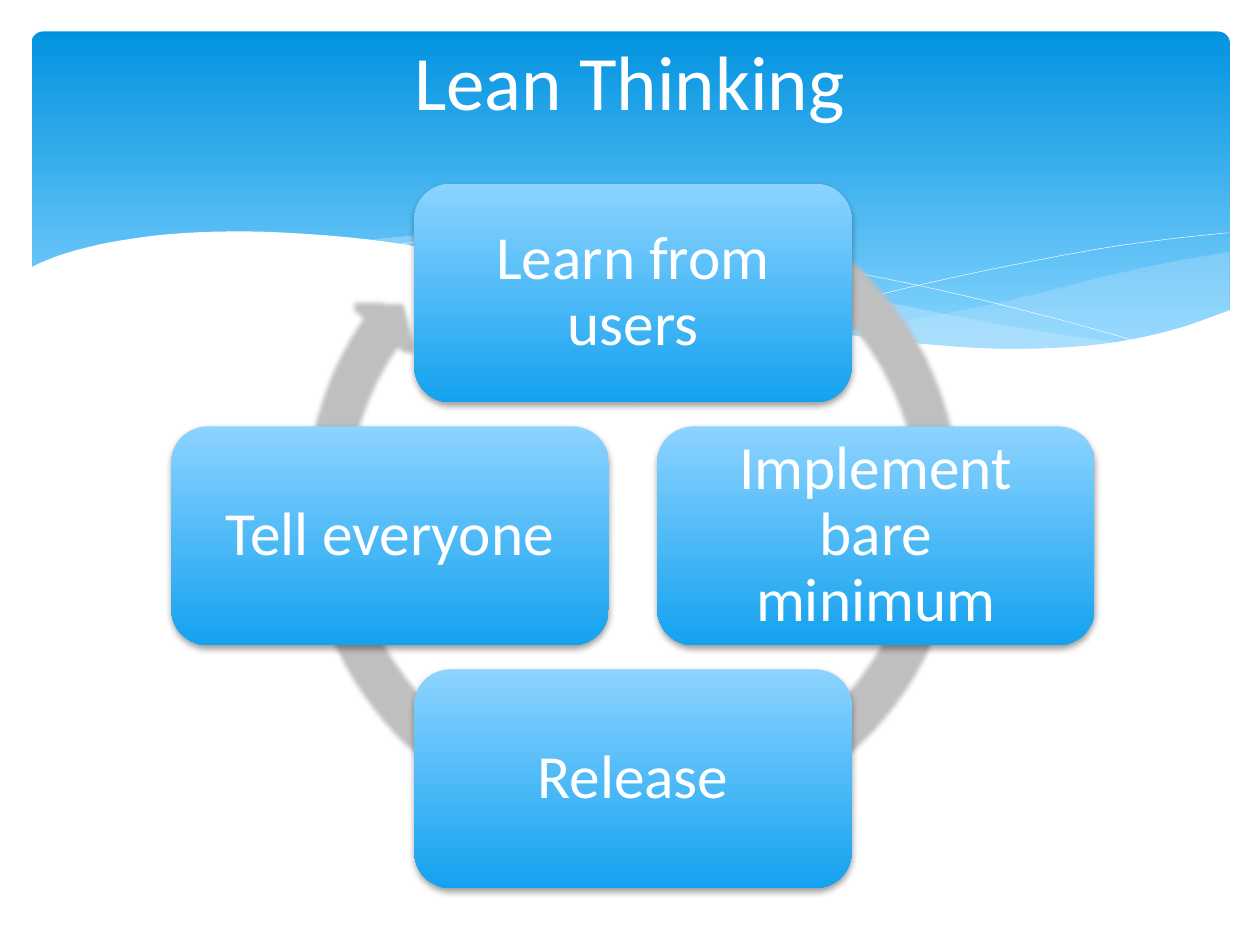
from lxml.etree import SubElement as Sub
from pptx import Presentation
from pptx.dml.color import RGBColor as Rgb
from pptx.enum.shapes import MSO_SHAPE as Kind
from pptx.enum.text import MSO_ANCHOR as Anchor, PP_ALIGN as Align
from pptx.oxml.ns import qn
from pptx.util import Pt

HUES = {
    "white": "FFFFFF", "black": "000000", "ring": "BFBFBF", "mist": "C6E7FC",
    "sky": "0293E0", "haze": "83D3FE", "light": "8CD3FF", "deep": "14A2EF",
}
FONT = "Calibri"
MID_X, MID_Y, STEP = 361.7, 306.2, 138.8
BOX_W, BOX_H = 250, 125
STEPS = [("Learn from users", 0, -1), ("Implement bare minimum", 1, 0),
         ("Release", 0, 1), ("Tell everyone", -1, 0)]

# Each outline is a list of smooth runs; straight lines join the runs.
EDGE = [
    [(702.5, 144), (673, 149), (631, 158), (580, 171), (525, 182), (476, 191)],
    [(476, 191), (518, 195.5), (562, 199.5), (601, 200), (640, 197),
     (673, 188.5), (702.5, 178)],
]
BAND = [
    [(643, 196.6), (581, 187), (508, 173), (453, 160), (410, 150),
     (361, 141), (302, 134.6), (248, 134), (206, 137.5)],
    [(206, 137.5), (261, 146), (323, 160), (407.5, 178.5), (468, 190),
     (530, 198), (581, 200), (624, 199), (643, 196.6)],
]
FALL = [[(222.5, 140.4), (261, 136), (312, 135), (367, 138), (438, 147),
         (523, 162.7), (598, 180.7), (653, 196)]]
RISE = [[(441, 185), (500, 169), (559, 155.5), (623.5, 143), (665, 137),
         (702, 133)]]
WAVE = [
    [(703.4, 177), (670, 188.6), (630, 196.6), (582.5, 199.4), (536, 197.3),
     (481, 190.8), (417, 180), (362, 167.8), (322, 158.4), (263, 145.4),
     (210, 136.8), (152, 132.5), (105, 133.2), (68.4, 137.5), (42.5, 143.3),
     (26, 149), (16.6, 153.4)],
    [(16.6, 237), (703.4, 237)],
]


def hue(name):
    return Rgb.from_string(HUES[name])


def smooth(knots, cuts=5):
    """Points of a Catmull-Rom curve through the knots."""
    if len(knots) < 3:
        return knots
    ends = [knots[0], *knots, knots[-1]]
    dots = []
    for a, b, c, d in zip(ends, ends[1:], ends[2:], ends[3:]):
        for t in (i / cuts for i in range(cuts)):
            dots.append(tuple(
                q + t / 2 * (r - p + t * (2 * p - 5 * q + 4 * r - s
                                          + t * (3 * q - p - 3 * r + s)))
                for p, q, r, s in zip(a, b, c, d)))
    return dots + [knots[-1]]


def add_free(slide, runs, closed):
    dots = [(Pt(x), Pt(y)) for run in runs for x, y in smooth(run)]
    pen = slide.shapes.build_freeform(*dots[0])
    pen.add_line_segments(dots[1:], close=closed)
    free = pen.convert_to_shape()
    free.shadow.inherit = False
    return free


def add_area(slide, runs, name, alpha=100):
    area = add_free(slide, runs, True)
    area.line.fill.background()
    area.fill.solid()
    area.fill.fore_color.rgb = hue(name)
    if alpha < 100:
        tint = area.fill._xPr.find(".//" + qn("a:srgbClr"))
        Sub(tint, qn("a:alpha"), val=str(alpha * 1000))


def add_curve(slide, runs):
    curve = add_free(slide, runs, False)
    curve.fill.background()
    curve.line.color.rgb = hue("white")
    curve.line.width = Pt(0.25)


def add_form(slide, kind, *place):
    form = slide.shapes.add_shape(kind, *map(Pt, place))
    form.shadow.inherit = False
    form.line.fill.background()
    return form


def shade(form, top, low, end=1):
    """Fill with a gradient that runs from top to bottom."""
    form.fill.gradient()
    form.fill.gradient_angle = 270
    for stop, name, pos in zip(form.fill.gradient_stops, (top, low), (0, end)):
        stop.color.rgb = hue(name)
        stop.position = pos


def add_glow(form, kind, name, alpha, **sizes):
    """Add a shadow or glow; sizes are in EMU, angles in 60000ths."""
    root = form._element.spPr.find(qn("a:effectLst"))
    glow = Sub(root, qn(kind), {k: str(v) for k, v in sizes.items()})
    tint = Sub(glow, qn("a:srgbClr"), val=HUES[name])
    Sub(tint, qn("a:alpha"), val=str(alpha * 1000))


def set_text(form, text, size, inset, lead=1.0):
    frame = form.text_frame
    frame.word_wrap = True
    frame.vertical_anchor = Anchor.MIDDLE
    frame.margin_left = frame.margin_right = Pt(inset)
    frame.margin_top = frame.margin_bottom = Pt(inset)
    frame.text = text
    para = frame.paragraphs[0]
    para.alignment = Align.CENTER
    para.line_spacing = lead
    font = para.runs[0].font
    font.name, font.size = FONT, Pt(size)
    font.color.rgb = hue("white")


def add_head(slide):
    panel = add_form(slide, Kind.ROUNDED_RECTANGLE, 18, 18, 684.7, 194.4)
    panel.adjustments[0] = 0.034
    shade(panel, "sky", "haze", 0.9)
    add_area(slide, EDGE, "mist", 29)
    add_area(slide, BAND, "mist", 40)
    add_curve(slide, FALL)
    add_curve(slide, RISE)
    add_area(slide, WAVE, "white")
    title = slide.shapes.add_textbox(Pt(56), Pt(-11.5), Pt(607.7), Pt(113.8))
    set_text(title, "Lean Thinking", 44, 4)


def add_ring(slide):
    ring = add_form(slide, Kind.CIRCULAR_ARROW, 168.5, 96.5, 386.6, 386.6)
    for i, val in enumerate((0.047, 2.729, 129.433, 179.55, 0.048)):
        ring.adjustments[i] = val
    ring.fill.solid()
    ring.fill.fore_color.rgb = hue("ring")
    add_glow(ring, "a:glow", "ring", 100, rad=Pt(5))


def add_step(slide, text, dx, dy):
    box = add_form(slide, Kind.ROUNDED_RECTANGLE,
                   MID_X + dx * STEP - BOX_W / 2,
                   MID_Y + dy * STEP - BOX_H / 2, BOX_W, BOX_H)
    shade(box, "light", "deep")
    add_glow(box, "a:outerShdw", "black", 38, blurRad=Pt(4), dist=Pt(2),
             dir=90 * 60000, rotWithShape=0)
    set_text(box, text, 35, 16.8, 0.9)


def main():
    deck = Presentation()
    deck.slide_width, deck.slide_height = Pt(720), Pt(540)
    slide = deck.slides.add_slide(deck.slide_layouts[6])
    add_head(slide)
    add_ring(slide)
    for step in STEPS:
        add_step(slide, *step)
    deck.save("out.pptx")


if __name__ == "__main__":
    main()
